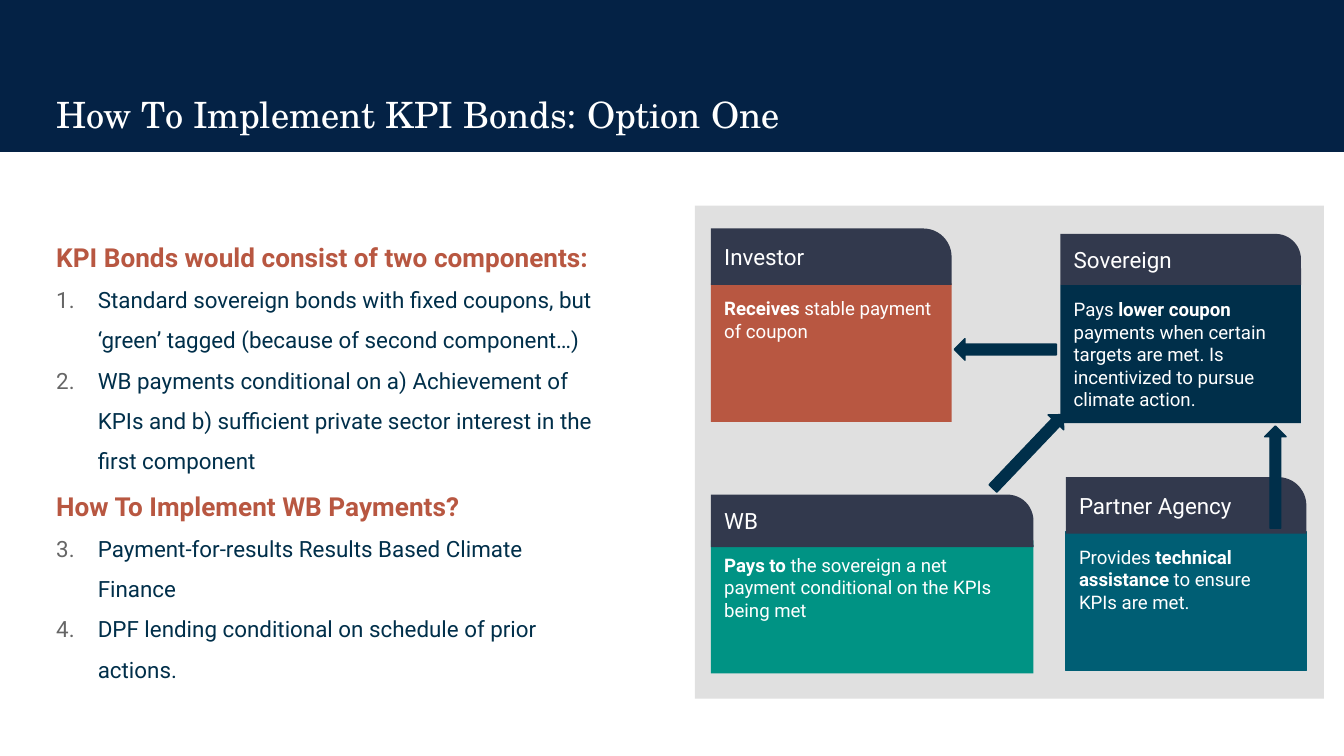
from dataclasses import dataclass

from lxml.etree import SubElement
from pptx import Presentation
from pptx.dml.color import RGBColor
from pptx.enum.shapes import MSO_SHAPE
from pptx.enum.text import MSO_ANCHOR, PP_ALIGN
from pptx.oxml.ns import qn
from pptx.util import Inches, Pt


@dataclass(frozen=True)
class Theme:
    banner: str = "042245"
    panel: str = "E0E0E0"
    card_header: str = "32394D"
    navy: str = "002F4A"
    rust: str = "B85741"
    green: str = "009384"
    teal: str = "005E74"
    white: str = "FFFFFF"
    number: str = "666666"
    title_font: str = "TeX Gyre Schola"
    body_font: str = "Roboto"
    title_size: float = 19.4
    heading_size: float = 14
    text_size: float = 12
    card_size: float = 10


THEME = Theme()


def write_paragraph(paragraph, runs, *, size, color, font=THEME.body_font, line_spacing=None):
    paragraph.alignment = PP_ALIGN.LEFT
    if line_spacing:
        paragraph.line_spacing = line_spacing
    for text, bold in runs:
        run = paragraph.add_run()
        run.text = text
        run.font.name = font
        run.font.size = Pt(size)
        run.font.bold = bold
        run.font.color.rgb = RGBColor.from_string(color)


def number_paragraph(paragraph, start):
    properties = paragraph._p.get_or_add_pPr()
    properties.set("marL", str(Inches(0.31)))
    properties.set("indent", str(Inches(-0.31)))
    bullet_color = SubElement(properties, qn("a:buClr"))
    SubElement(bullet_color, qn("a:srgbClr"), val=THEME.number)
    SubElement(properties, qn("a:buFont"), typeface=THEME.body_font)
    SubElement(properties, qn("a:buAutoNum"), type="arabicPeriod", startAt=str(start))


def prepare_frame(frame, anchor=MSO_ANCHOR.TOP):
    frame.word_wrap = True
    frame.vertical_anchor = anchor
    frame.margin_left = frame.margin_right = Inches(0.1)
    frame.margin_top = frame.margin_bottom = Inches(0.1)
    return frame


def add_text_box(slide, left, top, width, height):
    box = slide.shapes.add_textbox(Inches(left), Inches(top), Inches(width), Inches(height))
    return prepare_frame(box.text_frame)


def add_block(parent, left, top, width, height, color, kind=MSO_SHAPE.RECTANGLE, outlined=False):
    shape = parent.shapes.add_shape(
        kind, Inches(left), Inches(top), Inches(width), Inches(height)
    )
    shape.shadow.inherit = False
    shape.fill.solid()
    shape.fill.fore_color.rgb = RGBColor.from_string(color)
    if outlined:
        shape.line.color.rgb = RGBColor.from_string(color)
        shape.line.width = Pt(0.75)
    else:
        shape.line.fill.background()
    return shape


def add_card(slide, name, runs, color, *, left, header_top, header_height,
             body_top, body_height=1.03, width=1.79, outlined=False):
    card = slide.shapes.add_group_shape()
    body = add_block(card, left, body_top, width, body_height, color, outlined=outlined)
    frame = prepare_frame(body.text_frame)
    write_paragraph(frame.paragraphs[0], runs, size=THEME.card_size, color=THEME.white)

    header = add_block(card, left, header_top, width, header_height, THEME.card_header,
                       MSO_SHAPE.ROUND_1_RECTANGLE)
    header.adjustments[0] = 0.5
    frame = prepare_frame(header.text_frame, MSO_ANCHOR.MIDDLE)
    write_paragraph(frame.paragraphs[0], [(name, False)],
                    size=THEME.text_size, color=THEME.white)


def add_arrow(slide, left, top, rotation):
    arrow = add_block(slide, left, top, 0.76, 0.16, THEME.navy,
                      MSO_SHAPE.RIGHT_ARROW, outlined=True)
    arrow.rotation = rotation


def add_outline(slide, sections):
    frame = add_text_box(slide, 0.32, 1.58, 4.26, 3.69)
    paragraph = frame.paragraphs[0]
    start = 1
    for index, (heading, items) in enumerate(sections):
        if index:
            paragraph = frame.add_paragraph()
        write_paragraph(paragraph, [(heading, True)], size=THEME.heading_size,
                        color=THEME.rust, line_spacing=1.5)
        for item in items:
            paragraph = frame.add_paragraph()
            number_paragraph(paragraph, start)
            write_paragraph(paragraph, [(item, False)], size=THEME.text_size,
                            color=THEME.navy, line_spacing=1.5)
        start += len(items)


def add_title(slide, text):
    add_block(slide, 0, 0, 10.01, 1.13, THEME.banner)
    frame = add_text_box(slide, 0.32, 0.61, 9.36, 0.53)
    write_paragraph(frame.paragraphs[0], [(text, False)], size=THEME.title_size,
                    color=THEME.white, font=THEME.title_font, line_spacing=0.95)


def add_diagram(slide):
    add_block(slide, 5.17, 1.53, 4.68, 3.67, THEME.panel)
    add_card(slide, "WB",
             [("Pays to ", True),
              ("the sovereign a net payment conditional on the KPIs being met", False)],
             THEME.green, left=5.29, header_top=3.68, header_height=0.39,
             body_top=4.02, body_height=0.99, width=2.4)
    add_card(slide, "Sovereign",
             [("Pays ", False), ("lower coupon ", True),
              ("payments when certain targets are met. "
               "Is incentivized to pursue climate action.", False)],
             THEME.navy, left=7.89, header_top=1.74, header_height=0.38, body_top=2.12)
    add_card(slide, "Investor",
             [("Receives", True), (" stable payment of coupon", False)],
             THEME.rust, left=5.29, header_top=1.7, header_height=0.42, body_top=2.11)
    add_card(slide, "Partner Agency",
             [("Provides", False), (" technical assistance ", True),
              ("to ensure KPIs are met.", False)],
             THEME.teal, left=7.93, header_top=3.55, header_height=0.42,
             body_top=3.96, outlined=True)
    for left, top, rotation in ((7.27, 3.28, 313.6), (7.1, 2.52, 180), (9.11, 3.47, 270)):
        add_arrow(slide, left, top, rotation)


def main():
    presentation = Presentation()
    presentation.slide_width = Inches(10)
    presentation.slide_height = Inches(5.625)
    slide = presentation.slides.add_slide(presentation.slide_layouts[6])

    add_title(slide, "How To Implement KPI Bonds: Option One")
    add_outline(slide, [
        ("KPI Bonds would consist of two components:", [
            "Standard sovereign bonds with fixed coupons, but ‘green’ tagged "
            "(because of second component…)",
            "WB payments conditional on a) Achievement of KPIs and b) sufficient "
            "private sector interest in the first component",
        ]),
        ("How To Implement WB Payments?", [
            "Payment-for-results Results Based Climate Finance",
            "DPF lending conditional on schedule of prior actions.",
        ]),
    ])
    add_diagram(slide)
    presentation.save("out.pptx")


if __name__ == "__main__":
    main()
